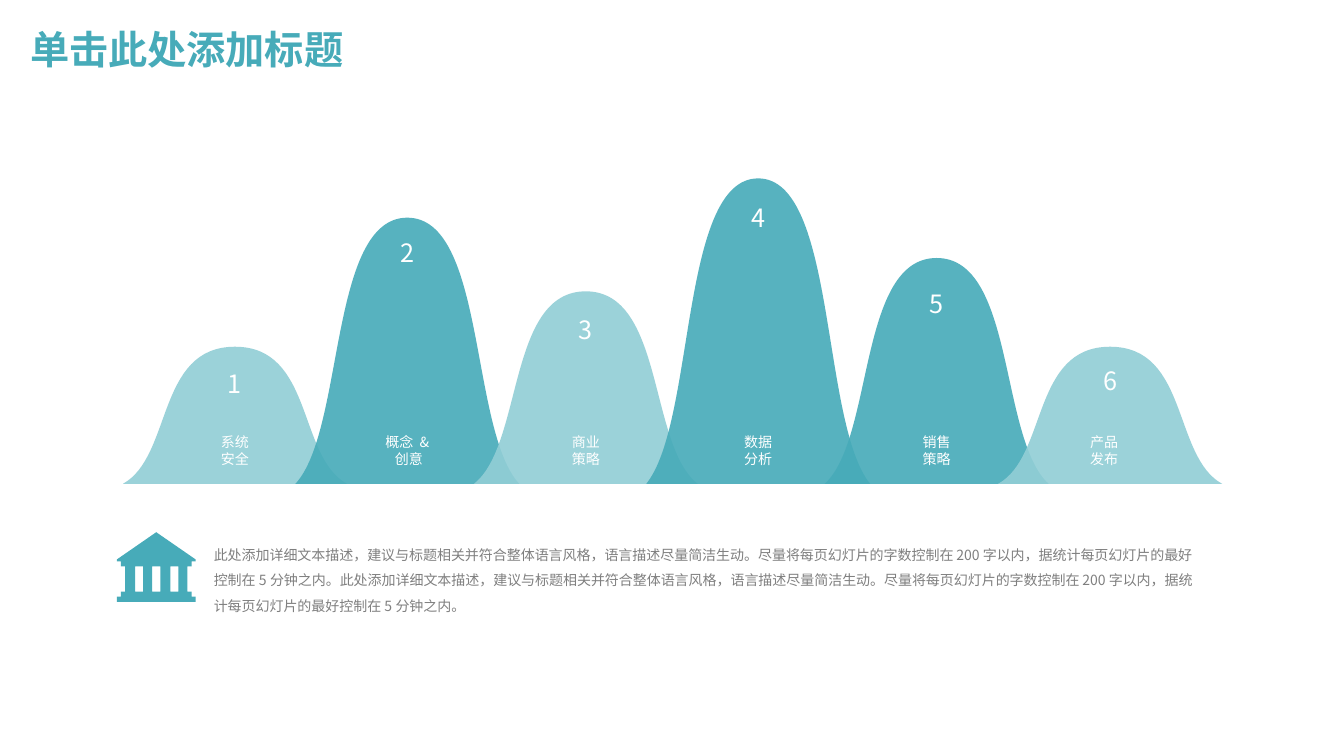
import pptx
import pptx.util
import pptx.dml.color
import pptx.enum.shapes
import pptx.enum.text
import pptx.oxml.ns
import lxml.etree

# Content
TITLE = "单击此处添加标题"
TEAL, PALE, WHITE, GREY = "47ABB9", "92CED6", "FFFFFF", "7F7F7F"
# Number, label lines, colour, peak x, peak y, number top, label centre
HILLS = [
    ("1", ["系统", "安全"], PALE, 2.33, 3.44, 3.61, 2.33),
    ("2", ["概念 &", " 创意"], TEAL, 4.04, 2.16, 2.31, 4.04),
    ("3", ["商业", "策略"], PALE, 5.81, 2.89, 3.07, 5.81),
    ("4", ["数据", "分析"], TEAL, 7.52, 1.77, 1.96, 7.52),
    ("5", ["销售", "策略"], TEAL, 9.29, 2.56, 2.81, 9.29),
    ("6", ["产品", "发布"], PALE, 11.01, 3.44, 3.58, 10.95),
]
SENTENCES = (
    "此处添加详细文本描述，建议与标题相关并符合整体语言风格，语言描述尽量简洁生动。"
    "尽量将每页幻灯片的字数控制在200字以内，据统计每页幻灯片的最好控制在5分钟之内。"
)
DESCRIPTION = SENTENCES * 2

# Layout
WIDTH, HEIGHT = 13.33, 7.5
PANEL_TOP = 0.13 * HEIGHT
BASE = 0.64 * HEIGHT
# Left half of a hill: share of its height at each offset from the peak
HILL_LEFT_HALF = [(0, 0), (-0.78, 0), (-0.62, 0.8), (-1.11, 1), (0, 1), (0, 1)]
ICON_CENTRE = 1.55
ICON_RIGHT_HALF = [
    (0, 5.28), (0.39, 5.55), (0.39, 5.57), (0.35, 5.57), (0.35, 5.62), (0.31, 5.62),
    (0.31, 5.87), (0.35, 5.87), (0.35, 5.92), (0.39, 5.92), (0.39, 5.97),
]
WINDOW_OFFSETS = [-0.17, 0, 0.18]
WINDOW_HALF, WINDOW_TOP, WINDOW_BOTTOM = 0.04, 5.62, 5.87
BODY_FONT = "Noto Sans CJK SC"
CENTRE = pptx.enum.text.PP_ALIGN.CENTER
NO_INSETS = dict.fromkeys(["margin_left", "margin_top", "margin_right", "margin_bottom"], 0)

deck = pptx.Presentation()
deck.slide_width = pptx.util.Inches(WIDTH)
deck.slide_height = pptx.util.Inches(HEIGHT)
slide = deck.slides.add_slide(deck.slide_layouts[6])


def colour(value):
    return pptx.dml.color.RGBColor.from_string(value)


def paint(shape, fill, opacity=100):
    shape.shadow.inherit = False
    shape.line.fill.background()
    shape.fill.solid()
    shape.fill.fore_color.rgb = colour(fill)
    if opacity < 100:
        tint = shape.fill._xPr.find(".//" + pptx.oxml.ns.qn("a:srgbClr"))
        lxml.etree.SubElement(tint, pptx.oxml.ns.qn("a:alpha"), val=str(opacity * 1000))


def add_outline(contours):
    """Draw closed contours given in inches."""
    contours = [[(pptx.util.Inches(x), pptx.util.Inches(y)) for x, y in contour]
                for contour in contours]
    builder = slide.shapes.build_freeform(*contours[0][0])
    builder.add_line_segments(contours[0][1:], close=True)
    for contour in contours[1:]:
        builder.move_to(*contour[0])
        builder.add_line_segments(contour[1:], close=True)
    return builder.convert_to_shape()


def curve(outline):
    """Turn every three straight segments into one cubic curve."""
    segments = list(outline._element.iter(pptx.oxml.ns.qn("a:lnTo")))
    for start in range(0, len(segments), 3):
        bend = lxml.etree.Element(pptx.oxml.ns.qn("a:cubicBezTo"))
        segments[start].addprevious(bend)
        for segment in segments[start:start + 3]:
            bend.append(segment[0])
            segment.getparent().remove(segment)


def add_text(box, lines, size, ink, font=BODY_FONT, bold=False, frame_format=None,
             paragraph_format=None):
    area = slide.shapes.add_textbox(*map(pptx.util.Inches, box)).text_frame
    for key, value in {"word_wrap": True, **(frame_format or {})}.items():
        setattr(area, key, value)
    for index, line in enumerate(lines):
        paragraph = area.paragraphs[0] if index == 0 else area.add_paragraph()
        for key, value in (paragraph_format or {}).items():
            setattr(paragraph, key, value)
        run = paragraph.add_run()
        run.text = line
        run_format = {"size": pptx.util.Pt(size), "name": font, "bold": bold}
        for key, value in run_format.items():
            setattr(run.font, key, value)
        run.font.color.rgb = colour(ink)
        east_asian = lxml.etree.Element(pptx.oxml.ns.qn("a:ea"), typeface=font)
        run.font._rPr.find(pptx.oxml.ns.qn("a:latin")).addnext(east_asian)


def mirrored(half, centre):
    """Complete a half contour; only a first point on the axis is shared."""
    there = [(centre + x, y) for x, y in half]
    back = [(centre - x, y) for x, y in reversed(half[1:])]
    return there + back


# Translucent panel below the title
panel = slide.shapes.add_shape(
    pptx.enum.shapes.MSO_SHAPE.RECTANGLE,
    *map(pptx.util.Inches, (0, PANEL_TOP, WIDTH, HEIGHT - PANEL_TOP)))
paint(panel, WHITE, 85)

# Title
add_text((0.2, 0.19, 11.5, 0.64), [TITLE], 28, TEAL, "Montserrat", True,
         {"vertical_anchor": pptx.enum.text.MSO_ANCHOR.MIDDLE}, {"line_spacing": 0.9})

# Overlapping hills
for _, _, fill, peak_x, peak_y, _, _ in HILLS:
    left_half = [(x, peak_y + share * (BASE - peak_y)) for x, share in HILL_LEFT_HALF]
    right_half = [(-x, y) for x, y in reversed(left_half)]
    # The foot of the axis ends one curve and leads into the next
    contour = left_half + [left_half[-1]] + right_half
    hill = add_outline([[(peak_x + x, y) for x, y in contour]])
    curve(hill)
    paint(hill, fill, 91)

# Numbers and labels
for number, label, _, peak_x, _, number_top, label_x in HILLS:
    add_text((peak_x - 0.18, number_top, 0.36, 0.4), [number], 18, WHITE,
             frame_format={"word_wrap": False}, paragraph_format={"alignment": CENTRE})
    add_text((label_x - 0.38, 4.3, 0.76, 0.47), label, 10, WHITE,
             frame_format=NO_INSETS, paragraph_format={"alignment": CENTRE})

# Description
add_text((2.12, 5.34, 9.75, 0.99), [DESCRIPTION], 10, GREY,
         frame_format=NO_INSETS, paragraph_format={"line_spacing": 1.5})

# Building icon with three window openings
windows = [
    [(ICON_CENTRE + offset + side * WINDOW_HALF, y) for side, y in (
        (1, WINDOW_BOTTOM), (-1, WINDOW_BOTTOM), (-1, WINDOW_TOP), (1, WINDOW_TOP))]
    for offset in WINDOW_OFFSETS
]
paint(add_outline([mirrored(ICON_RIGHT_HALF, ICON_CENTRE)] + windows), TEAL)

deck.save("out.pptx")
